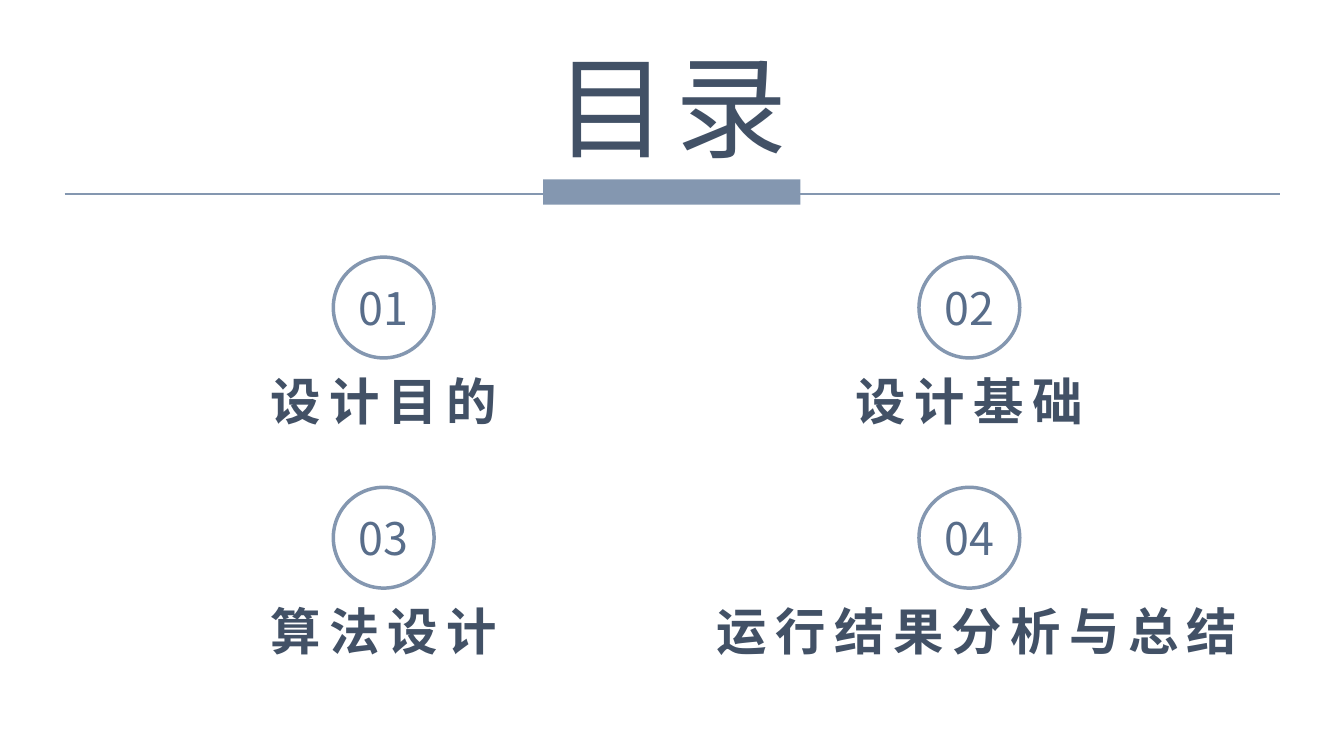
"""Build a contents slide with a ruled title and four numbered topics."""
from dataclasses import dataclass

from lxml import etree
from pptx import Presentation
from pptx.dml.color import RGBColor
from pptx.enum.shapes import MSO_CONNECTOR, MSO_SHAPE
from pptx.enum.text import MSO_ANCHOR, MSO_AUTO_SIZE, PP_ALIGN
from pptx.oxml.ns import qn
from pptx.shapes.autoshape import Shape
from pptx.slide import Slide
from pptx.util import Cm, Pt

CENTER = PP_ALIGN.CENTER
MIDDLE = MSO_ANCHOR.MIDDLE
NO_AUTOFIT = MSO_AUTO_SIZE.NONE
STRAIGHT = MSO_CONNECTOR.STRAIGHT
OVAL = MSO_SHAPE.OVAL
RECTANGLE = MSO_SHAPE.RECTANGLE


@dataclass(frozen=True)
class TextStyle:
    size: float
    color: RGBColor
    bold: bool = False
    spacing: float = 0


@dataclass(frozen=True)
class Theme:
    font: str = "Noto Sans CJK SC"
    accent: RGBColor = RGBColor(0x84, 0x97, 0xB0)
    title: TextStyle = TextStyle(80, RGBColor(0x42, 0x51, 0x66), spacing=6)
    caption: TextStyle = TextStyle(36, RGBColor(0x42, 0x51, 0x66), True, 6)
    number: TextStyle = TextStyle(32, RGBColor(0x58, 0x6D, 0x8A))
    rule_width: float = 1.5
    ring_width: float = 2.5


@dataclass(frozen=True)
class Topic:
    name: str
    caption_shift: float = 0


THEME = Theme()
TOPICS = (
    Topic("设计目的"),
    Topic("设计基础"),
    Topic("算法设计"),
    Topic("运行结果分析与总结", 0.2),
)
COLUMN_CENTERS = (9.67, 24.43)
FIRST_ROW_TOP, ROW_PITCH = 6.48, 5.8
RING_SIZE = 2.54
NUMBER_WIDTH, NUMBER_HEIGHT = 5.44, 1.63
CAPTION_WIDTH, CAPTION_HEIGHT, CAPTION_DROP = 14.7, 1.8, 2.7
RULE_LEFT, RULE_RIGHT, RULE_Y = 1.63, 32.26, 4.88
BAR_LEFT, BAR_TOP, BAR_WIDTH, BAR_HEIGHT = 13.69, 4.52, 6.48, 0.64


def write_text(shape: Shape, text: str, style: TextStyle) -> None:
    """Write one centred, styled run into a shape."""
    frame = shape.text_frame
    frame.word_wrap = True
    frame.auto_size = NO_AUTOFIT
    frame.vertical_anchor = MIDDLE
    paragraph = frame.paragraphs[0]
    paragraph.alignment = CENTER
    run = paragraph.add_run()
    run.text = text
    run.font.name = THEME.font
    run.font.size = Pt(style.size)
    run.font.bold = style.bold
    run.font.color.rgb = style.color
    properties = run.font._element
    properties.set("spc", str(round(style.spacing * 100)))
    latin = properties.find(qn("a:latin"))
    east_asian = etree.Element(qn("a:ea"), typeface=THEME.font)
    latin.addnext(east_asian)


def add_text(slide: Slide, left: float, top: float, width: float, height: float,
             text: str, style: TextStyle) -> None:
    """Add a text box measured in centimetres."""
    box = slide.shapes.add_textbox(Cm(left), Cm(top), Cm(width), Cm(height))
    write_text(box, text, style)


def add_title(slide: Slide) -> None:
    """Place and fill the title placeholder."""
    title = slide.shapes.title
    title.left, title.top = Cm(11.73), Cm(0.8)
    title.width, title.height = Cm(10.4), Cm(3.68)
    write_text(title, "目录", THEME.title)


def add_rule(slide: Slide, start: float, end: float) -> None:
    """Add one horizontal segment of the title rule."""
    rule = slide.shapes.add_connector(
        STRAIGHT, Cm(start), Cm(RULE_Y), Cm(end), Cm(RULE_Y))
    rule.line.color.rgb = THEME.accent
    rule.line.width = Pt(THEME.rule_width)
    etree.SubElement(rule._element.spPr, qn("a:effectLst"))


def add_divider(slide: Slide) -> None:
    """Add the title rule with its central bar."""
    add_rule(slide, RULE_LEFT, BAR_LEFT)
    add_rule(slide, BAR_LEFT + BAR_WIDTH, RULE_RIGHT)
    bar = slide.shapes.add_shape(
        RECTANGLE, Cm(BAR_LEFT), Cm(BAR_TOP), Cm(BAR_WIDTH), Cm(BAR_HEIGHT))
    bar.shadow.inherit = False
    bar.fill.solid()
    bar.fill.fore_color.rgb = THEME.accent
    bar.line.fill.background()


def add_topic(slide: Slide, index: int, topic: Topic) -> None:
    """Add a ringed number with its caption below."""
    row, column = divmod(index, len(COLUMN_CENTERS))
    center = COLUMN_CENTERS[column]
    top = FIRST_ROW_TOP + row * ROW_PITCH
    ring = slide.shapes.add_shape(
        OVAL, Cm(center - RING_SIZE / 2), Cm(top), Cm(RING_SIZE), Cm(RING_SIZE))
    ring.shadow.inherit = False
    ring.fill.background()
    ring.line.color.rgb = THEME.accent
    ring.line.width = Pt(THEME.ring_width)
    add_text(slide, center - NUMBER_WIDTH / 2, top + (RING_SIZE - NUMBER_HEIGHT) / 2,
             NUMBER_WIDTH, NUMBER_HEIGHT, f"{index + 1:02d}", THEME.number)
    add_text(slide, center - CAPTION_WIDTH / 2 + topic.caption_shift,
             top + CAPTION_DROP, CAPTION_WIDTH, CAPTION_HEIGHT,
             topic.name, THEME.caption)


def main() -> None:
    """Create and save the presentation."""
    presentation = Presentation()
    presentation.slide_width = Cm(33.87)
    presentation.slide_height = Cm(19.05)
    slide = presentation.slides.add_slide(
        presentation.slide_layouts.get_by_name("Title Only"))
    add_title(slide)
    add_divider(slide)
    for index, topic in enumerate(TOPICS):
        add_topic(slide, index, topic)
    presentation.save("out.pptx")


if __name__ == "__main__":
    main()
